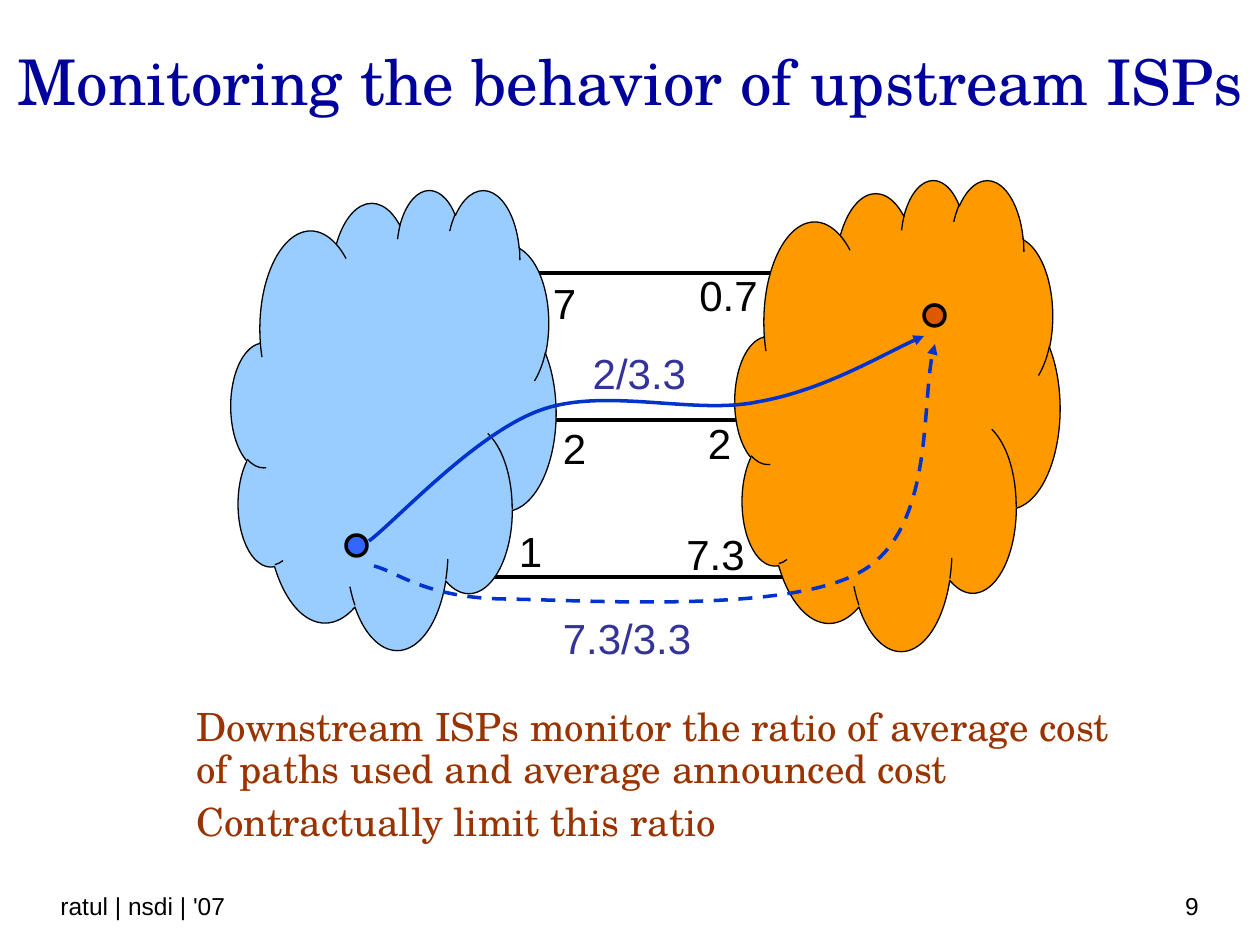
from lxml.etree import SubElement
from pptx import Presentation
from pptx.dml.color import RGBColor
from pptx.enum.dml import MSO_LINE
from pptx.enum.shapes import MSO_CONNECTOR, MSO_SHAPE
from pptx.enum.text import MSO_ANCHOR, PP_ALIGN
from pptx.oxml.ns import qn
from pptx.util import Pt

PIXEL = 914400 / 126
SLIDE_SIZE = (1260, 945)
THEME = {
    "serif": "TeX Gyre Schola", "sans": "Arial",
    "title": "00009C", "body": "993300", "ink": "000000", "ratio": "333399",
    "left_cloud": "99CCFF", "right_cloud": "FF9900",
    "source": "3366FF", "target": "DC5900", "path": "0033CC",
    "title_size": 36, "label_size": 24, "body_size": 22.2, "footer_size": 14,
    "thin": 0.75, "thick": 2,
}

TITLE = "Monitoring the behavior of upstream ISPs"
BODY = [
    "Downstream ISPs monitor the ratio of average cost of paths used and average announced cost",
    "Contractually limit this ratio",
]
LINKS = [(546, 756, 420), (494, 798, 577), (536, 788, 273)]
CLOUDS = [
    ("left_cloud", (231, 189, 325, 460), (348, 261, 192, 160)),
    ("right_cloud", (735, 179, 325, 471), (852, 252, 192, 164)),
]
DOTS = [("source", 346, 535), ("target", 924, 305)]
DOT_SIZE = 21
PATHS = [
    (None, [(369, 541), (398, 519), (476, 433), (541, 410), (605, 387),
            (694, 415), (757, 402), (822, 391), (890, 350), (924, 336)]),
    (MSO_LINE.DASH, [(374, 566), (396, 571), (425, 598), (505, 599), (586, 600),
                     (790, 614), (862, 571), (934, 529), (920, 392), (935, 344)]),
]
LABEL_HEIGHT = 63
LABELS = [
    ("7", "ink", 512, 271, 105), ("0.7", "ink", 667, 263, 123),
    ("2/3.3", "ratio", 538, 341, 203),
    ("2", "ink", 522, 416, 105), ("2", "ink", 672, 411, 95),
    ("1", "ink", 478, 519, 105), ("7.3", "ink", 651, 522, 129),
    ("7.3/3.3", "ratio", 498, 606, 258),
]
FOOTERS = [
    ("ratul | nsdi | '07", (48, 861, 508, 66), PP_ALIGN.LEFT),
    ("9", (917, 861, 294, 66), PP_ALIGN.RIGHT),
]


def emu(*lengths):
    return [round(length * PIXEL) for length in lengths]


def color(name):
    return RGBColor.from_string(THEME[name])


def set_line(line, name, weight):
    line.color.rgb = color(name)
    line.width = Pt(THEME[weight])


def write(shape, texts, font, size, color_name, align, anchor=MSO_ANCHOR.TOP):
    frame = shape.text_frame
    frame.word_wrap = True
    frame.vertical_anchor = anchor
    frame.text = "\n".join(texts)
    for paragraph in frame.paragraphs:
        paragraph.alignment = align
        paragraph.font.name = THEME[font]
        paragraph.font.size = Pt(THEME[size])
        paragraph.font.color.rgb = color(color_name)
    return frame


def add_filled(shapes, kind, box, fill, weight=None):
    shape = shapes.add_shape(kind, *emu(*box))
    shape.shadow.inherit = False
    shape.fill.solid()
    shape.fill.fore_color.rgb = color(fill)
    if weight:
        set_line(shape.line, "ink", weight)
    else:
        shape.line.fill.background()
    return shape


def add_link(shapes, left, right, y):
    link = shapes.add_connector(MSO_CONNECTOR.STRAIGHT, *emu(left, y, right, y))
    set_line(link.line, "ink", "thick")
    SubElement(link._element.spPr, qn("a:effectLst"))


def add_cloud(shapes, fill, box, cover_box):
    group = shapes.add_group_shape()
    cloud = add_filled(group.shapes, MSO_SHAPE.CLOUD_CALLOUT, box, fill, "thin")
    cloud.adjustments[0], cloud.adjustments[1] = 0.045, -0.036
    cover = add_filled(group.shapes, MSO_SHAPE.OVAL, cover_box, fill)
    cover.rotation = 148.7


def add_path(shapes, dash, points):
    builder = shapes.build_freeform(*points[0], scale=PIXEL)
    builder.add_line_segments(points[1:], close=False)
    curve = builder.convert_to_shape()
    curve.shadow.inherit = False
    curve.fill.background()
    set_line(curve.line, "path", "thick")
    if dash:
        curve.line.dash_style = dash
    SubElement(curve.line._get_or_add_ln(), qn("a:tailEnd"), type="triangle")
    outline = next(curve._element.iter(qn("a:path")))
    segments = outline.findall(qn("a:lnTo"))
    for start in range(0, len(segments), 3):
        bezier = SubElement(outline, qn("a:cubicBezTo"))
        for segment in segments[start:start + 3]:
            bezier.append(segment[0])
            outline.remove(segment)


def add_text(shapes, box, *style):
    return write(shapes.add_textbox(*emu(*box)), *style)


presentation = Presentation()
presentation.slide_width, presentation.slide_height = emu(*SLIDE_SIZE)
slide = presentation.slides.add_slide(presentation.slide_layouts[5])
shapes = slide.shapes

title = shapes.title
title.left, title.top, title.width, title.height = emu(0, 10, 1260, 141)
write(title, [TITLE], "serif", "title_size", "title", PP_ALIGN.CENTER, MSO_ANCHOR.MIDDLE)

for link in LINKS:
    add_link(shapes, *link)
for cloud in CLOUDS:
    add_cloud(shapes, *cloud)
for fill, left, top in DOTS:
    add_filled(shapes, MSO_SHAPE.OVAL, (left, top, DOT_SIZE, DOT_SIZE), fill, "thick")
for path in PATHS:
    add_path(shapes, *path)
for text, color_name, left, top, width in LABELS:
    add_text(shapes, (left, top, width, LABEL_HEIGHT), [text],
             "sans", "label_size", color_name, PP_ALIGN.CENTER)

body = add_text(shapes, (184, 702, 960, 169), BODY,
                "serif", "body_size", "body", PP_ALIGN.LEFT)
for paragraph in body.paragraphs:
    paragraph.line_spacing = 0.9
    paragraph.space_before = Pt(6)

for text, box, align in FOOTERS:
    add_text(shapes, box, [text], "sans", "footer_size", "ink", align, MSO_ANCHOR.BOTTOM)

presentation.save("out.pptx")
